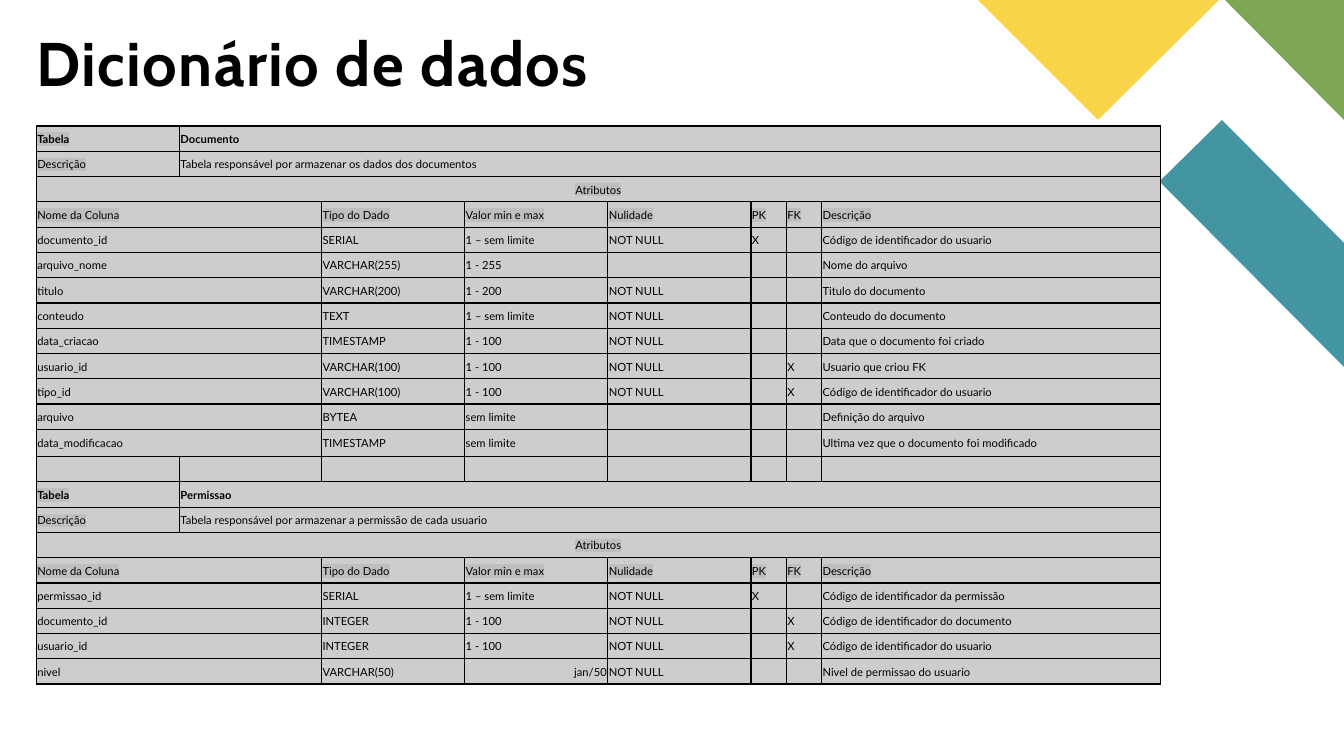
from lxml.etree import SubElement
from pptx import Presentation
from pptx.dml.color import RGBColor
from pptx.enum.text import MSO_ANCHOR, PP_ALIGN
from pptx.oxml import parse_xml
from pptx.oxml.ns import nsdecls, qn
from pptx.util import Inches, Pt

TITLE = "Dicionário de dados"
COLUMN_LABELS = ("Nome da Coluna", "Tipo do Dado", "Valor min e max", "Nulidade", "PK", "FK", "Descrição")
HIGHLIGHTED = {"Tabela", "Atributos", *COLUMN_LABELS}
ROWS = [
    ("Tabela", "Documento"),
    ("Descrição", "Tabela responsável por armazenar os dados dos documentos"),
    ("Atributos",),
    COLUMN_LABELS,
    ("documento_id", "SERIAL", "1 – sem limite", "NOT NULL", "X", "", "Código de identificador do usuario"),
    ("arquivo_nome", "VARCHAR(255)", "1 - 255", "", "", "", "Nome do arquivo"),
    ("titulo", "VARCHAR(200)", "1 - 200", "NOT NULL", "", "", "Titulo do documento"),
    ("conteudo", "TEXT", "1 – sem limite", "NOT NULL", "", "", "Conteudo do documento"),
    ("data_criacao", "TIMESTAMP", "1 - 100", "NOT NULL", "", "", "Data que o documento foi criado"),
    ("usuario_id", "VARCHAR(100)", "1 - 100", "NOT NULL", "", "X", "Usuario que criou FK"),
    ("tipo_id", "VARCHAR(100)", "1 - 100", "NOT NULL", "", "X", "Código de identificador do usuario"),
    ("arquivo", "BYTEA", "sem limite", "", "", "", "Definição do arquivo"),
    ("data_modificacao", "TIMESTAMP", "sem limite", "", "", "", "Ultima vez que o documento foi modificado"),
    ("",) * 8,
    ("Tabela", "Permissao"),
    ("Descrição", "Tabela responsável por armazenar a permissão de cada usuario"),
    ("Atributos",),
    COLUMN_LABELS,
    ("permissao_id", "SERIAL", "1 – sem limite", "NOT NULL", "X", "", "Código de identificador da permissão"),
    ("documento_id", "INTEGER", "1 - 100", "NOT NULL", "", "X", "Código de identificador do documento"),
    ("usuario_id", "INTEGER", "1 - 100", "NOT NULL", "", "X", "Código de identificador do usuario"),
    ("nivel", "VARCHAR(50)", "jan/50", "NOT NULL", "", "", "Nivel de permissao do usuario"),
]
SPANS = {1: (8,), 2: (1, 7), 7: (2, 1, 1, 1, 1, 1, 1), 8: (1,) * 8}
ALIGNMENTS = {"Atributos": PP_ALIGN.CENTER, "jan/50": PP_ALIGN.RIGHT}
COLUMN_WIDTHS = (1.42, 1.41, 1.42, 1.42, 1.42, 0.35, 0.35, 3.36)
TABLE_LEFT, TABLE_TOP, TABLE_WIDTH, TABLE_HEIGHT = 0.36, 1.25, 11.13, 5.54
TALL_ROW, TALL_HEIGHT = 12, 0.27

BLACK = RGBColor(0x00, 0x00, 0x00)
CELL_GRAY = RGBColor(0xCD, 0xCD, 0xCD)
LABEL_GRAY = RGBColor(0xBF, 0xBF, 0xBF)
TEAL = RGBColor(0x44, 0x95, 0xA2)
GREEN = RGBColor(0x7C, 0xA6, 0x55)
YELLOW = RGBColor(0xF9, 0xD4, 0x48)
DECORATIONS = [
    (TEAL, [(13.33, 3.64), (13.33, 2.41), (12.12, 1.19), (11.5, 1.8)]),
    (GREEN, [(13.33, 1.19), (13.33, 0), (12.15, 0)]),
    (YELLOW, [(9.7, 0), (10.89, 1.19), (12.09, 0)]),
]


def add_decoration(slide, color, points):
    corners = [(Inches(x), Inches(y)) for x, y in points]
    builder = slide.shapes.build_freeform(*corners[0])
    builder.add_line_segments(corners[1:], close=True)
    shape = builder.convert_to_shape()
    shape.shadow.inherit = False
    shape.fill.solid()
    shape.fill.fore_color.rgb = color
    shape.line.fill.background()


def add_title(slide):
    box = slide.shapes.add_textbox(Inches(0.36), Inches(0.39), Inches(5.71), Inches(0.59))
    frame = box.text_frame
    frame.word_wrap = True
    frame.vertical_anchor = MSO_ANCHOR.BOTTOM
    frame.margin_left = frame.margin_top = frame.margin_right = frame.margin_bottom = 0
    paragraph = frame.paragraphs[0]
    paragraph.line_spacing = 0.8
    run = paragraph.add_run()
    run.text = TITLE
    set_font(paragraph.font, "Cabin", 44, True)
    run.font.bold = True
    run.font._element.set("spc", "100")


def set_font(font, name, size, bold):
    font.name = name
    font.size = Pt(size)
    font.bold = bold
    font.color.rgb = BLACK


def style_cell(cell):
    cell.fill.solid()
    cell.fill.fore_color.rgb = CELL_GRAY
    cell.vertical_anchor = MSO_ANCHOR.MIDDLE
    cell.margin_left = cell.margin_top = cell.margin_right = Inches(0.01)
    cell.margin_bottom = 0
    properties = cell._tc.get_or_add_tcPr()
    for index, side in enumerate(("lnL", "lnR", "lnT", "lnB")):
        properties.insert(index, parse_xml(
            f'<a:{side} {nsdecls("a")} w="{Pt(1)}"><a:solidFill>'
            f'<a:srgbClr val="{BLACK}"/></a:solidFill></a:{side}>'))


def write_cell(cell, text, bold):
    paragraph = cell.text_frame.paragraphs[0]
    set_font(paragraph.font, "Lato", 8, bold)
    paragraph.alignment = ALIGNMENTS.get(text, PP_ALIGN.LEFT)
    if not text:
        SubElement(paragraph._p, qn("a:endParaRPr"), sz="800")
        return
    run = paragraph.add_run()
    run.text = text
    if text in HIGHLIGHTED:
        highlight = SubElement(run._r.get_or_add_rPr(), qn("a:highlight"))
        SubElement(highlight, qn("a:srgbClr"), val=str(LABEL_GRAY))


def add_dictionary(slide):
    frame = slide.shapes.add_table(
        len(ROWS), len(COLUMN_WIDTHS), Inches(TABLE_LEFT), Inches(TABLE_TOP),
        Inches(TABLE_WIDTH), Inches(TABLE_HEIGHT))
    table = frame.table
    table.first_row = table.horz_banding = False
    for column, width in zip(table.columns, COLUMN_WIDTHS):
        column.width = Inches(width)
    row_height = (TABLE_HEIGHT - TALL_HEIGHT) / (len(ROWS) - 1)
    for row_index, texts in enumerate(ROWS):
        table.rows[row_index].height = Inches(TALL_HEIGHT if row_index == TALL_ROW else row_height)
        for cell in table.rows[row_index].cells:
            style_cell(cell)
        column_index = 0
        for text, span in zip(texts, SPANS[len(texts)]):
            cell = table.cell(row_index, column_index)
            if span > 1:
                cell.merge(table.cell(row_index, column_index + span - 1))
            write_cell(cell, text, texts[0] == "Tabela")
            column_index += span


def main():
    presentation = Presentation()
    presentation.slide_width = Inches(13.33)
    presentation.slide_height = Inches(7.5)
    slide = presentation.slides.add_slide(presentation.slide_layouts[6])
    for color, points in DECORATIONS:
        add_decoration(slide, color, points)
    add_title(slide)
    add_dictionary(slide)
    presentation.save("out.pptx")


if __name__ == "__main__":
    main()
